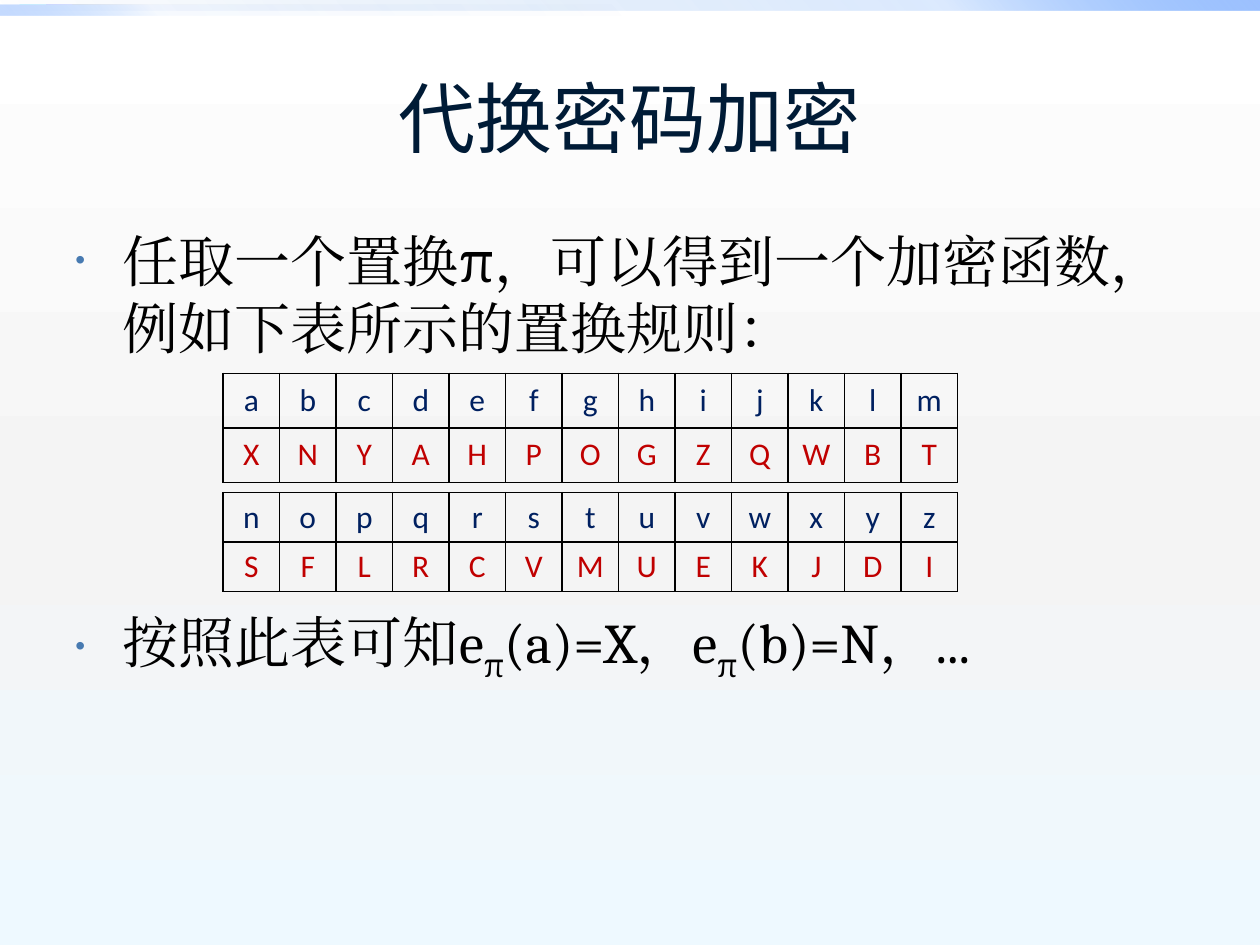
from lxml.etree import SubElement
from pptx import Presentation
from pptx.dml.color import RGBColor
from pptx.enum.shapes import MSO_SHAPE
from pptx.enum.text import MSO_ANCHOR, PP_ALIGN
from pptx.oxml.ns import qn
from pptx.util import Pt

COLORS = {
    "title": "001B36", "body": "000000", "bullet": "477AB1",
    "plain": "002060", "cipher": "C00000", "border": "000000",
    "white": "FFFFFF", "gray": "F4F4F4", "ice": "EEF9FF",
    "deep": "0058B7", "azure": "4F95FF", "sky": "9EC2FF",
}


class SlideBuilder:
    heading_font = "Calibri"
    body_font = "Cambria"

    def __init__(self, slide):
        self.slide = slide

    def style(self, paragraph, font_name, size, color):
        font = paragraph.font
        font.size = Pt(size)
        font.color.rgb = RGBColor.from_string(COLORS[color])
        font.name = font_name
        properties = paragraph._p.pPr.find(qn("a:defRPr"))
        SubElement(properties, qn("a:ea"), typeface=font_name)

    def gradient(self, fill, owner, stops, angle):
        fill.gradient()
        gradient = owner.xpath(".//a:gradFill")[0]
        for child in list(gradient):
            gradient.remove(child)
        stop_list = SubElement(gradient, qn("a:gsLst"))
        for position, color, opacity in stops:
            stop = SubElement(stop_list, qn("a:gs"), pos=str(position * 1000))
            value = SubElement(stop, qn("a:srgbClr"), val=COLORS[color])
            if opacity < 100:
                SubElement(value, qn("a:alpha"), val=str(opacity * 1000))
        SubElement(gradient, qn("a:lin"), ang=str(angle * 60000), scaled="0")

    def background(self, stops, angle):
        fill = self.slide.background.fill
        self.gradient(fill, self.slide.background._cSld, stops, angle)

    def bar(self, left, top, width, height, stops, angle):
        shape = self.slide.shapes.add_shape(
            MSO_SHAPE.RECTANGLE, Pt(left), Pt(top), Pt(width), Pt(height))
        shape.shadow.inherit = False
        shape.line.fill.background()
        self.gradient(shape.fill, shape._element.spPr, stops, angle)

    def title(self, text, left, top, width, height):
        shape = self.slide.shapes.title
        shape.left, shape.top = Pt(left), Pt(top)
        shape.width, shape.height = Pt(width), Pt(height)
        frame = shape.text_frame
        frame.text = text
        frame.vertical_anchor = MSO_ANCHOR.MIDDLE
        paragraph = frame.paragraphs[0]
        paragraph.alignment = PP_ALIGN.CENTER
        self.style(paragraph, self.heading_font, 44, "title")

    def bullets(self, items, left, top, width, height, gap):
        shape = self.slide.shapes.add_textbox(
            Pt(left), Pt(top), Pt(width), Pt(height))
        frame = shape.text_frame
        frame.word_wrap = True
        for index, pieces in enumerate(items):
            paragraph = frame.add_paragraph() if index else frame.paragraphs[0]
            self.bullet(paragraph)
            if index:
                paragraph.space_before = Pt(gap)
            self.style(paragraph, self.body_font, 32, "body")
            for position, text in enumerate(pieces):
                run = paragraph.add_run()
                run.text = text
                if position % 2:
                    run.font._element.set("baseline", "-25000")

    def bullet(self, paragraph):
        properties = paragraph._p.get_or_add_pPr()
        properties.set("marL", str(Pt(27)))
        properties.set("indent", str(Pt(-27)))
        color = SubElement(properties, qn("a:buClr"))
        SubElement(color, qn("a:srgbClr"), val=COLORS["bullet"])
        SubElement(properties, qn("a:buSzPct"), val="50000")
        SubElement(properties, qn("a:buFont"), typeface="Arial")
        SubElement(properties, qn("a:buChar"), char="•")

    def table(self, rows, left, top, width, row_height):
        columns = len(rows[0])
        table = self.slide.shapes.add_table(
            len(rows), columns, Pt(left), Pt(top),
            Pt(width), Pt(row_height * len(rows))).table
        table.first_row = table.horz_banding = False
        for column in table.columns:
            column.width = Pt(width / columns)
        for row, letters, color in zip(table.rows, rows, ("plain", "cipher")):
            row.height = Pt(row_height)
            for cell, letter in zip(row.cells, letters):
                self.cell(cell, letter, color)

    def cell(self, cell, letter, color):
        cell.text = letter
        cell.vertical_anchor = MSO_ANCHOR.MIDDLE
        cell.margin_left = cell.margin_right = Pt(5)
        cell.margin_top = cell.margin_bottom = 0
        paragraph = cell.text_frame.paragraphs[0]
        paragraph.alignment = PP_ALIGN.CENTER
        self.style(paragraph, self.heading_font, 18, color)
        properties = cell._tc.get_or_add_tcPr()
        for side in ("lnL", "lnR", "lnT", "lnB"):
            line = SubElement(properties, qn(f"a:{side}"), w=str(Pt(1)))
            fill = SubElement(line, qn("a:solidFill"))
            SubElement(fill, qn("a:srgbClr"), val=COLORS["border"])
        cell.fill.background()


def main():
    presentation = Presentation()
    presentation.slide_width, presentation.slide_height = Pt(720), Pt(540)
    slide = presentation.slides.add_slide(presentation.slide_layouts[5])
    builder = SlideBuilder(slide)
    builder.background(
        [(0, "white", 100), (55, "gray", 100), (100, "ice", 100)], 90)
    builder.bar(0, 0, 720, 5.76,
                [(0, "deep", 0), (75, "azure", 20), (100, "sky", 100)], 315)
    builder.bar(0, 2.88, 360, 5.76,
                [(0, "deep", 0), (75, "azure", 5), (100, "sky", 60)], 135)
    builder.title("代换密码加密", 36, 21.6, 648, 90)
    builder.bullets([
        ["任取一个置换π，可以得到一个加密函数，例如下表所示的置换规则："],
        ["按照此表可知e", "π", "(a)=X，e", "π", "(b)=N，..."],
    ], 36, 126, 648, 356.4, 141)
    builder.table(["abcdefghijklm", "XNYAHPOGZQWBT"], 127.44, 213.3, 419.76, 31.2)
    builder.table(["nopqrstuvwxyz", "SFLRCVMUEKJDI"], 127.44, 281.5, 419.76, 28.3)
    presentation.save("out.pptx")


if __name__ == "__main__":
    main()
